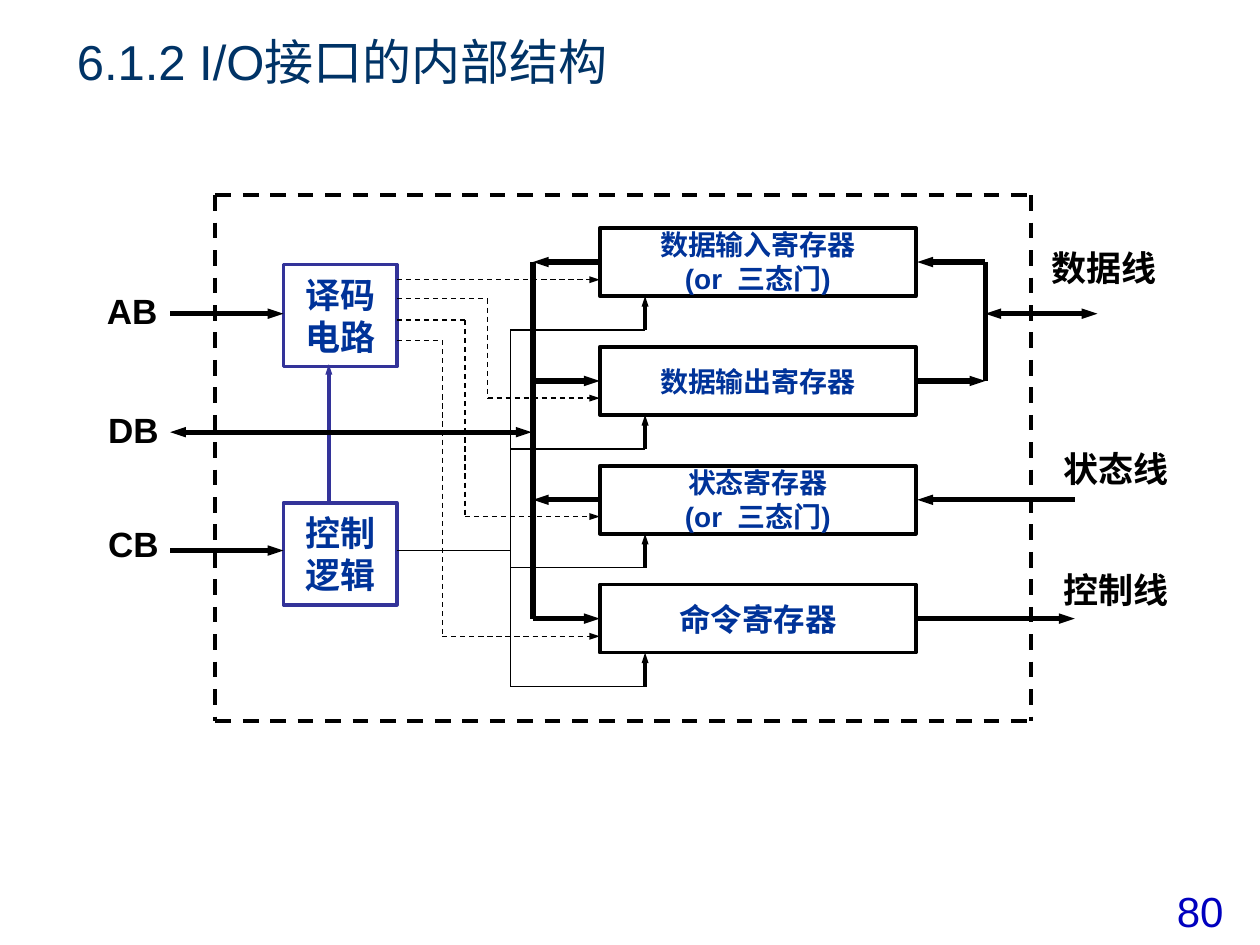
import collections

import pptx
import pptx.dml.color
import pptx.enum.dml
import pptx.enum.shapes
import pptx.enum.text
import pptx.oxml.ns
import pptx.util
from pptx.util import Inches

RGBColor = pptx.dml.color.RGBColor
ALIGN = pptx.enum.text.PP_ALIGN
ANCHOR = pptx.enum.text.MSO_ANCHOR

BLACK = RGBColor(0x00, 0x00, 0x00)
WHITE = RGBColor(0xFF, 0xFF, 0xFF)
TITLE_BLUE = RGBColor(0x00, 0x33, 0x66)
TEXT_BLUE = RGBColor(0x00, 0x33, 0x99)
BOX_BLUE = RGBColor(0x33, 0x33, 0x99)
NUMBER_BLUE = RGBColor(0x00, 0x00, 0xBF)
FONT = "Arial"

# Every region is given its box, in inches.
Box = collections.namedtuple("Box", "left top width height")


def place(box):
    return [Inches(v) for v in box]


def set_text(shape, text, size, color, bold=True, align=ALIGN.CENTER,
             anchor=ANCHOR.MIDDLE, inset=0.0, wrap=True):
    tf = shape.text_frame
    tf.text = text
    tf.word_wrap = wrap
    tf.vertical_anchor = anchor
    tf.margin_left = tf.margin_right = Inches(0.1)
    tf.margin_top = tf.margin_bottom = Inches(inset)
    for p in tf.paragraphs:
        p.alignment = align
        for r in p.runs:
            r.font.name = FONT
            r.font.size = pptx.util.Pt(size)
            r.font.bold = bold
            r.font.color.rgb = color


def add_block(s, box, text, size, line_color, anchor=ANCHOR.MIDDLE):
    sp = s.shapes.add_shape(pptx.enum.shapes.MSO_SHAPE.RECTANGLE, *place(box))
    sp.shadow.inherit = False
    sp.fill.solid()
    sp.fill.fore_color.rgb = WHITE
    sp.line.color.rgb = line_color
    sp.line.width = pptx.util.Pt(2)
    set_text(sp, text, size, TEXT_BLUE, anchor=anchor)


def add_line(s, box, start, end, width=3, color=BLACK, dash=False, arrows=""):
    """Draw from start to end, both relative to the box's top left corner.

    arrows lists the ends with an arrowhead: "head" at start, "tail" at end.
    """
    points = [Inches(o + v) for pt in (start, end) for o, v in zip(box[:2], pt)]
    c = s.shapes.add_connector(pptx.enum.shapes.MSO_CONNECTOR.STRAIGHT, *points)
    c.line.color.rgb = color
    c.line.width = pptx.util.Pt(width)
    if dash:
        c.line.dash_style = pptx.enum.dml.MSO_LINE.DASH
    ln = c.line._get_or_add_ln()
    for end_name in arrows.split():
        el = pptx.oxml.parse_xml(
            f'<a:{end_name}End {pptx.oxml.ns.nsdecls("a")} type="triangle" w="sm" len="med"/>')
        ln.append(el)
    c._element.spPr.append(
        pptx.oxml.parse_xml(f'<a:effectLst {pptx.oxml.ns.nsdecls("a")}/>'))


def add_path(s, box, points, arrows="", **style):
    """Join the points with lines; arrowheads go on the last one."""
    last = len(points) - 2
    for i, (start, end) in enumerate(zip(points, points[1:])):
        add_line(s, box, start, end, arrows=arrows if i == last else "", **style)


def add_title(s, box):
    title = s.shapes.title
    title.left, title.top, title.width, title.height = place(box)
    set_text(title, "6.1.2 I/O接口的内部结构", 28, TITLE_BLUE, bold=False,
             align=ALIGN.LEFT, inset=0.05)


def add_page_number(s, box):
    set_text(s.shapes.add_textbox(*place(box)), "80", 24, NUMBER_BLUE,
             bold=False, anchor=ANCHOR.TOP, inset=0.05)


def add_labels(s, box, labels):
    """Each label is (text, left, top), relative to the box."""
    for text, x, y in labels:
        tb = s.shapes.add_textbox(*place((box.left + x, box.top + y, box.width, 0.4)))
        set_text(tb, text, 20, BLACK, align=ALIGN.LEFT, anchor=ANCHOR.TOP, wrap=False)


def add_registers(s, box):
    registers = (("数据输入寄存器\n(or  三态门)", 16, ANCHOR.TOP),
                 ("数据输出寄存器", 16, ANCHOR.MIDDLE),
                 ("状态寄存器\n(or  三态门)", 16, ANCHOR.TOP),
                 ("命令寄存器", 18, ANCHOR.MIDDLE))
    height = 0.54
    pitch = (box.height - height) / (len(registers) - 1)
    for i, (text, size, anchor) in enumerate(registers):
        add_block(s, Box(box.left, box.top + i * pitch, box.width, height),
                  text, size, BLACK, anchor)


def add_control_blocks(s, box):
    height = 0.81
    bottom = box.height - height
    for text, y in (("译码\n电路", 0), ("控制\n逻辑", bottom)):
        add_block(s, Box(box.left, box.top + y, box.width, height), text, 20, BOX_BLUE)
    add_line(s, box, (0.36, bottom), (0.36, height - 0.02), width=2,
             color=BOX_BLUE, arrows="tail")


def add_system_lines(s, box):
    """AB and CB feed the control blocks; DB runs on to the inner bus."""
    add_line(s, box, (0, 0), (0.9, 0), arrows="tail")
    add_line(s, box, (0, box.height / 2), (box.width, box.height / 2), arrows="head tail")
    add_line(s, box, (0, box.height), (0.9, box.height), arrows="tail")


def add_inner_bus(s, box):
    pitch = box.height / 3
    add_line(s, box, (0, 0), (0, box.height))
    for i, arrow in enumerate(("head", "tail", "head", "tail")):
        add_line(s, box, (0, i * pitch), (box.width, i * pitch), arrows=arrow)


def add_device_lines(s, box):
    pitch = box.height / 3
    join = 0.54
    add_line(s, box, (0, 0), (join, 0), arrows="head")
    add_line(s, box, (0, pitch), (join, pitch), arrows="tail")
    add_line(s, box, (join, 0), (join, pitch))
    add_line(s, box, (join, 0.41), (box.width, 0.41), arrows="head tail")
    for i, arrow in ((2, "head"), (3, "tail")):
        add_line(s, box, (0, i * pitch), (1.25, i * pitch), arrows=arrow)


def add_select_lines(s, box):
    """Dashed lines from the decoder to each register."""
    style = dict(width=0.75, dash=True, arrows="tail")
    add_path(s, box, [(0, 0), (box.width, 0)], **style)
    for turn, y, target in ((0.72, 0.15, 0.94), (0.54, 0.32, 1.88), (0.36, 0.48, 2.83)):
        add_path(s, box, [(0, y), (turn, y), (turn, target), (box.width, target)], **style)


def add_strobe_lines(s, box):
    """Thin lines from the control logic to the foot of each register."""
    trunk = 0.9
    pitch = box.height / 3
    add_line(s, box, (0, 1.75), (trunk, 1.75), width=0.75)
    add_line(s, box, (trunk, 0), (trunk, box.height), width=0.75)
    for i in range(4):
        y = i * pitch
        add_line(s, box, (trunk, y), (box.width, y), width=0.75)
        add_line(s, box, (box.width, y), (box.width, y - 0.27), width=2, arrows="tail")


def add_frame(s, box):
    w, h = box.width, box.height
    for start, end in (((0, 0), (0, h)), ((w, 0), (w, h)),
                       ((0, 0), (w, 0)), ((0, h), (w, h))):
        add_line(s, box, start, end, width=2.25, dash=True)


def main():
    prs = pptx.Presentation()
    prs.slide_width, prs.slide_height = Inches(10), Inches(7.5)
    s = prs.slides.add_slide(prs.slide_layouts[5])
    add_title(s, Box(0.51, 0.21, 8.43, 0.55))
    add_page_number(s, Box(9.17, 6.98, 0.71, 0.5))
    add_labels(s, Box(0.75, 2.3, 0.72, 2.25),
               [("AB", 0, 0), ("DB", 0.01, 0.94), ("CB", 0.01, 1.85)])
    add_labels(s, Box(8.25, 1.96, 1.08, 2.95),
               [("数据线", 0, 0), ("状态线", 0.09, 1.59), ("控制线", 0.09, 2.55)])
    add_registers(s, Box(4.76, 1.81, 2.51, 3.37))
    add_control_blocks(s, Box(2.25, 2.1, 0.9, 2.7))
    add_system_lines(s, Box(1.35, 2.49, 2.87, 1.88))
    add_inner_bus(s, Box(4.23, 2.08, 0.53, 2.83))
    add_device_lines(s, Box(7.28, 2.08, 1.43, 2.83))
    add_select_lines(s, Box(3.15, 2.22, 1.61, 2.83))
    add_strobe_lines(s, Box(3.15, 2.62, 1.97, 2.83))
    add_frame(s, Box(1.71, 1.55, 6.47, 4.17))
    prs.save("out.pptx")


if __name__ == "__main__":
    main()
